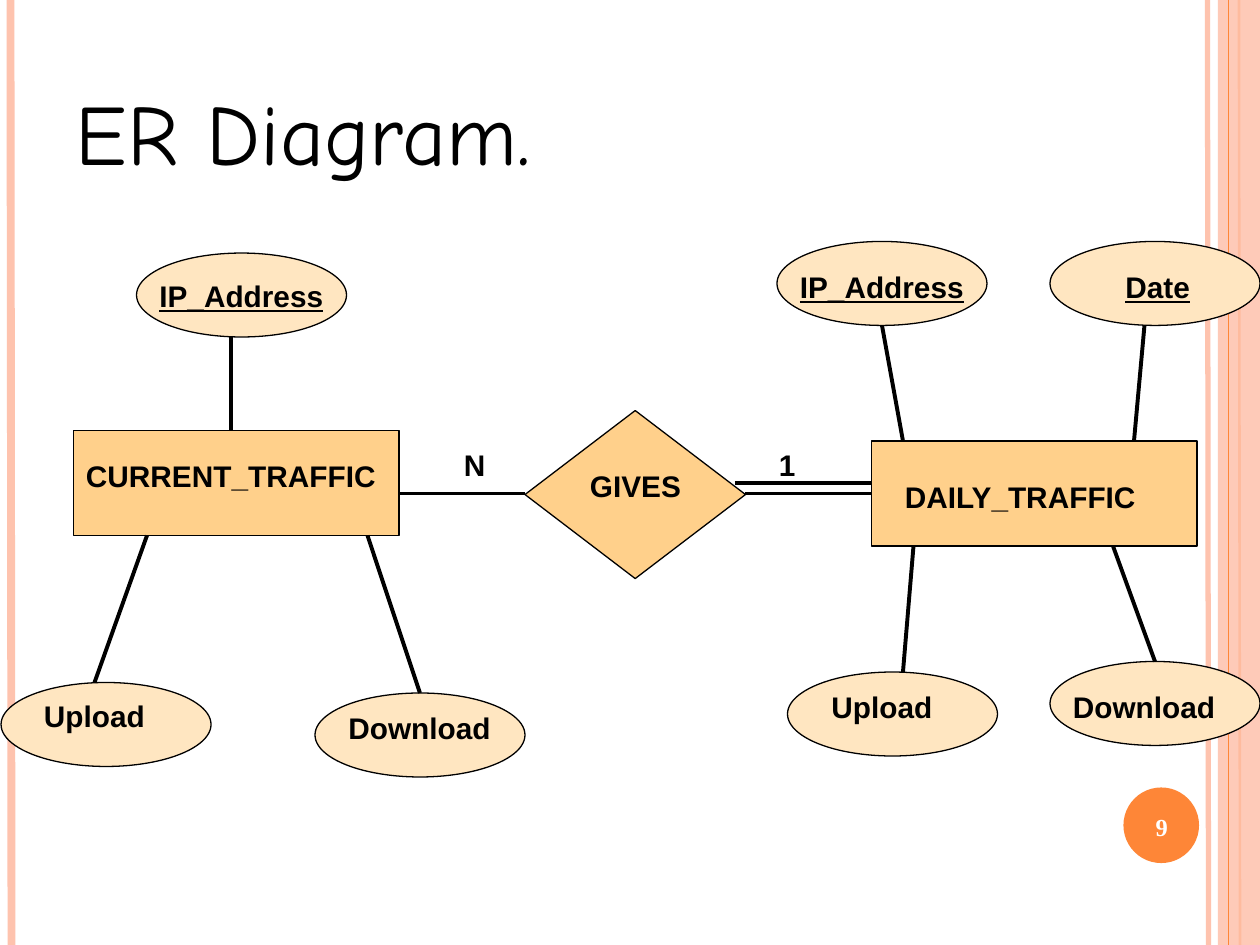
import lxml.etree
import pptx
import pptx.dml.color
import pptx.enum.shapes
import pptx.enum.text
import pptx.oxml.ns
import pptx.util

SHAPES = pptx.enum.shapes.MSO_SHAPE
ALIGN = pptx.enum.text.PP_ALIGN
ANCHOR = pptx.enum.text.MSO_ANCHOR
COLUMNS, ROWS = 120, 90


def color(hex_string):
    return pptx.dml.color.RGBColor.from_string(hex_string)


def write(frame, text, font="Arial", size=17, ink="000000", bold=True, underline=False,
          align=ALIGN.LEFT, anchor=ANCHOR.TOP, before=10.6, grow=True):
    frame.word_wrap = True
    frame.vertical_anchor = anchor
    if grow:
        frame.auto_size = pptx.enum.text.MSO_AUTO_SIZE.SHAPE_TO_FIT_TEXT
    paragraph = frame.paragraphs[0]
    paragraph.alignment = align
    paragraph.space_before = pptx.util.Pt(before)
    run = paragraph.add_run()
    run.text = text
    run.font.name = font
    run.font.size = pptx.util.Pt(size)
    run.font.bold = bold
    run.font.underline = underline
    run.font.color.rgb = color(ink)


class ErSlide:
    ink = "000000"
    entity_fill = "FFD08B"
    attribute_fill = "FFE6C1"
    accent = "FE8637"
    pale = "FEC3AE"

    def __init__(self, deck):
        self.slide = deck.slides.add_slide(deck.slide_layouts[6])
        self.column = deck.slide_width / COLUMNS
        self.row = deck.slide_height / ROWS

    def place(self, column, row):
        return round(column * self.column), round(row * self.row)

    def shape(self, kind, column, row, columns, rows, fill, outline=None, opacity=None):
        shape = self.slide.shapes.add_shape(
            kind, *self.place(column, row), *self.place(columns, rows))
        shape.shadow.inherit = False
        shape.fill.solid()
        shape.fill.fore_color.rgb = color(fill)
        if outline:
            shape.line.color.rgb = color(outline)
            shape.line.width = pptx.util.Pt(0.75)
        else:
            shape.line.fill.background()
        if opacity:
            tint = shape._element.spPr.find(".//" + pptx.oxml.ns.qn("a:srgbClr"))
            alpha = lxml.etree.SubElement(tint, pptx.oxml.ns.qn("a:alpha"))
            alpha.set("val", str(opacity * 1000))

    def entity(self, column, row):
        self.shape(SHAPES.RECTANGLE, column, row, 31, 10, self.entity_fill, self.ink)

    def relationship(self, column, row):
        self.shape(SHAPES.DIAMOND, column, row, 21, 16, self.entity_fill, self.ink)

    def attribute(self, column, row):
        self.shape(SHAPES.OVAL, column, row, 20, 8, self.attribute_fill, self.ink)

    def line(self, start, end, stroke=ink, width=2.25):
        line = self.slide.shapes.add_connector(
            pptx.enum.shapes.MSO_CONNECTOR.STRAIGHT, *self.place(*start), *self.place(*end))
        line.line.color.rgb = color(stroke)
        line.line.width = pptx.util.Pt(width)
        lxml.etree.SubElement(line._element.spPr, pptx.oxml.ns.qn("a:effectLst"))

    def label(self, text, column, row, columns, rows=4.6, **style):
        box = self.slide.shapes.add_textbox(
            *self.place(column, row), *self.place(columns, rows))
        write(box.text_frame, text, **style)

    def rail(self, column, stroke, width, slant=0.1):
        self.line((column, 0), (column + slant, ROWS), stroke, width)

    def frame(self):
        self.rail(115, self.pale, 3)
        self.rail(1, self.pale, 4.5)
        self.rail(118, self.accent, 1.5)
        self.shape(SHAPES.RECTANGLE, 116, 0, 4, ROWS, self.pale, opacity=87)
        self.rail(117, self.accent, 0.75, slant=0)
        self.shape(SHAPES.OVAL, 107, 75, 7.2, 7.2, self.accent)


def main():
    deck = pptx.Presentation()
    deck.slide_width = pptx.util.Inches(10)
    deck.slide_height = pptx.util.Inches(7.5)
    diagram = ErSlide(deck)
    diagram.frame()
    diagram.label("ER Diagram.", 6, 7, 98, 11, font="Comic Neue", size=49, bold=False,
                  anchor=ANCHOR.BOTTOM, before=0)
    diagram.label("9", 106.7, 75.4, 7.9, 6.7, font="Times New Roman", size=14, ink="FFFFFF",
                  align=ALIGN.CENTER, anchor=ANCHOR.MIDDLE, before=0, grow=False)

    for position in ((7, 41), (83, 42)):
        diagram.entity(*position)
    diagram.relationship(50, 39.1)
    for position in ((0.1, 65), (30, 66), (13, 24.1),
                     (100, 63), (75, 64), (100, 23), (74, 23)):
        diagram.attribute(*position)

    links = (
        ((38, 47), (50, 47)), ((71, 47), (83, 47)), ((70, 46), (83, 46)),
        ((22, 32), (22, 41)), ((84, 31), (86, 42)), ((109, 31), (108, 42)),
        ((87, 52), (86, 64)), ((106, 52), (110, 63)),
        ((35, 51), (40, 66)), ((14, 51), (9, 65)),
    )
    for start, end in links:
        diagram.line(start, end)

    names = (
        ("CURRENT_TRAFFIC", 7, 43, 32), ("DAILY_TRAFFIC", 85, 45, 31), ("GIVES", 55, 44, 17),
        ("Upload", 3, 65.9, 15), ("Download", 32, 67, 19),
        ("Upload", 78, 65, 15), ("Download", 101, 65, 19),
        ("N", 43, 42, 6), ("1", 73, 42, 6),
    )
    for name in names:
        diagram.label(*name)

    keys = (("IP_Address", 14, 25.9, 24), ("IP_Address", 75, 25, 24), ("Date", 106, 25, 14))
    for key in keys:
        diagram.label(*key, underline=True)

    deck.save("out.pptx")


if __name__ == "__main__":
    main()
